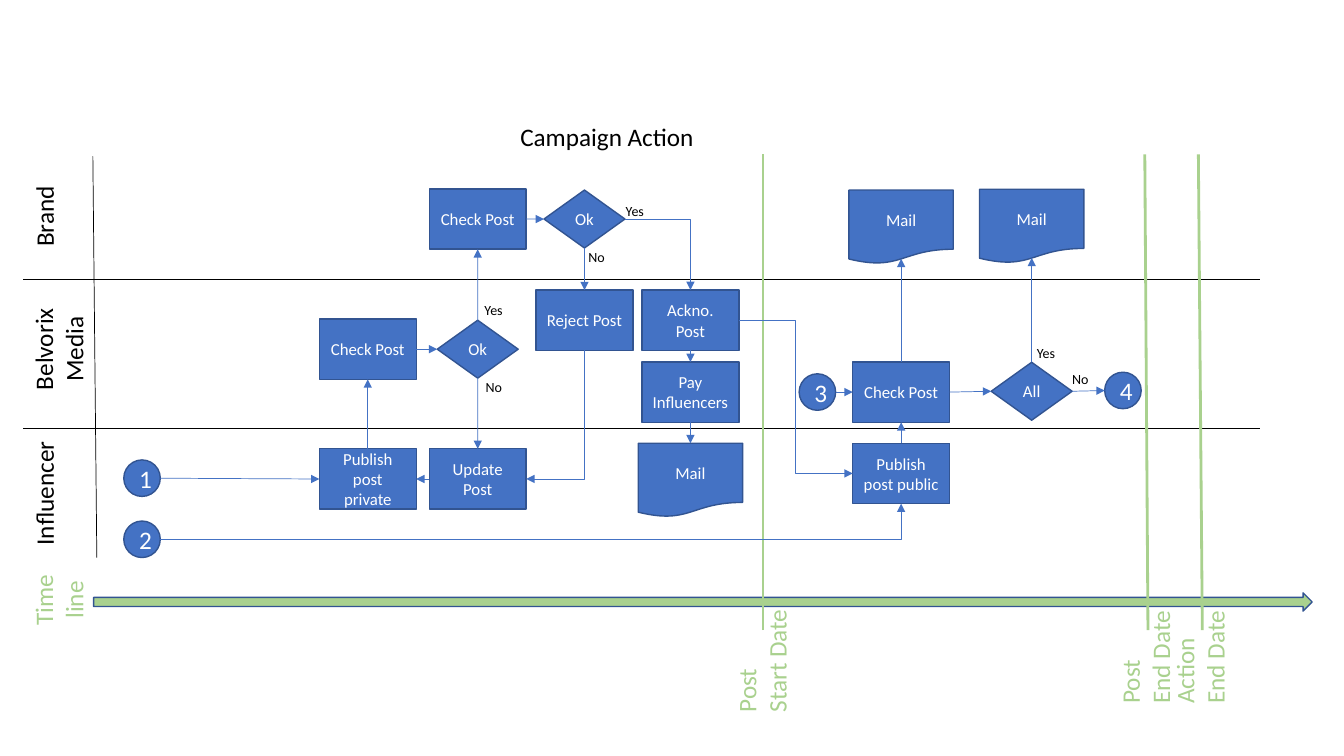
"""Build the campaign action swimlane slide."""
import pptx
import pptx.util
import pptx.dml.color
import pptx.enum.shapes
import pptx.enum.text
import pptx.oxml
import pptx.oxml.ns
from pptx.util import Cm

KIND = pptx.enum.shapes.MSO_SHAPE
LINK = pptx.enum.shapes.MSO_CONNECTOR
ALIGN = pptx.enum.text.PP_ALIGN
FONT = "Calibri"
COLORS = {"blue": "4472C4", "edge": "325491", "green": "A9D18E",
          "black": "000000", "white": "FFFFFF"}
TOP, LEFT, BOTTOM, RIGHT = range(4)

TITLE = ("Campaign Action", 2.34, 2.92, 25.91, 1.02)
TIME_ARROW = (2.36, 14.94, 30.71, 0.46)
LANE_LINES = [(0.58, 7.04, 31.75, 7.04), (0.58, 10.8, 31.75, 10.8),
              (2.34, 3.94, 2.44, 14.05)]
DATE_LINES = [(19.23, 15.88, 19.23, 3.89), (28.93, 15.88, 28.85, 3.89),
              (30.3, 15.88, 30.2, 3.89)]
ROTATED_LABELS = [
    (["Brand"], "black", (0.08, 4.93, 2.06, 1.02), [ALIGN.LEFT]),
    (["Belvorix", "Media"], "black", (-0.02, 7.9, 3.0, 1.8), [ALIGN.CENTER] * 2),
    (["Influencer"], "black", (-0.48, 11.89, 3.18, 1.02), [ALIGN.LEFT]),
    (["Time", "line"], "green", (0.58, 14.22, 1.8, 1.8), [ALIGN.LEFT, ALIGN.CENTER]),
    (["Post", "Start Date"], "green", (17.65, 15.75, 3.1, 1.8), [ALIGN.LEFT] * 2),
    (["Post", "End Date"], "green", (27.41, 15.62, 2.92, 1.8), [ALIGN.LEFT] * 2),
    (["Action", "End Date"], "green", (28.78, 15.62, 2.92, 1.8), [ALIGN.LEFT] * 2),
]
ANSWERS = [("No", 14.58, 6.15), ("Yes", 25.88, 8.56), ("Yes", 11.96, 7.47),
           ("Yes", 15.52, 4.98), ("No", 11.99, 9.42), ("No", 26.77, 9.22)]
ANSWER_SIZE = (1.02, 0.69)

STYLES = {
    "process": (KIND.FLOWCHART_PROCESS, 2.44, 1.52, 12),
    "decision": (KIND.FLOWCHART_DECISION, 2.04, 1.46, 12),
    "document": (KIND.FLOWCHART_DOCUMENT, 2.63, 1.86, 12),
    "step": (KIND.FLOWCHART_CONNECTOR, 0.92, 0.92, 18),
}
NODES = {
    "publish private": ("process", "Publish post private", 9.27, 12.07),
    "check media": ("process", "Check Post", 9.27, 8.8),
    "check brand": ("process", "Check Post", 12.04, 5.52),
    "update": ("process", "Update Post", 12.04, 12.07),
    "ok media": ("decision", "Ok", 12.04, 8.8),
    "ok brand": ("decision", "Ok", 14.73, 5.52),
    "reject": ("process", "Reject Post", 14.73, 8.07),
    "acknowledge": ("process", "Ackno. Post", 17.4, 8.07),
    "pay": ("process", "Pay Influencers", 17.4, 9.88),
    "mail influencer": ("document", "Mail", 17.4, 12.1),
    "publish public": ("process", "Publish post public", 22.71, 11.93),
    "check public": ("process", "Check Post", 22.71, 9.88),
    "mail check": ("document", "Mail", 22.71, 5.72),
    "all": ("decision", "All", 26.0, 9.86),
    "mail all": ("document", "Mail", 26.0, 5.7),
    "1": ("step", "1", 3.58, 12.05),
    "2": ("step", "2", 3.58, 13.59),
    "3": ("step", "3", 20.6, 9.88),
    "4": ("step", "4", 28.3, 9.84),
}
STRAIGHT_LINKS = [
    ("check media", RIGHT, "ok media", LEFT),
    ("publish private", TOP, "check media", BOTTOM),
    ("ok media", TOP, "check brand", BOTTOM),
    ("ok media", BOTTOM, "update", TOP),
    ("check brand", RIGHT, "ok brand", LEFT),
    ("update", LEFT, "publish private", RIGHT),
    ("ok brand", BOTTOM, "reject", TOP),
    ("1", RIGHT, "publish private", LEFT),
    ("acknowledge", BOTTOM, "pay", TOP),
    ("pay", BOTTOM, "mail influencer", TOP),
    ("publish public", TOP, "check public", BOTTOM),
    ("check public", TOP, "mail check", BOTTOM),
    ("all", RIGHT, "4", LEFT),
    ("all", TOP, "mail all", BOTTOM),
    ("check public", RIGHT, "all", LEFT),
    ("3", RIGHT, "check public", LEFT),
]
BENT_LINKS = [
    ("2", RIGHT, "publish public", BOTTOM),
    ("ok brand", RIGHT, "acknowledge", TOP),
    ("acknowledge", RIGHT, "publish public", LEFT),
    ("reject", BOTTOM, "update", RIGHT),
]


def color(name):
    return pptx.dml.color.RGBColor.from_string(COLORS[name])


def write(frame, lines, size, tint, alignments):
    for number, line in enumerate(lines):
        para = frame.paragraphs[0] if number == 0 else frame.add_paragraph()
        para.text = line
        para.alignment = alignments[number]
        para.font.name = FONT
        para.font.size = pptx.util.Pt(size)
        para.font.color.rgb = color(tint)


def add_label(page, lines, size, tint, place, alignments, rotation=0):
    box = page.shapes.add_textbox(*map(Cm, place))
    box.rotation = rotation
    box.text_frame.word_wrap = rotation == 0
    box.text_frame.auto_size = pptx.enum.text.MSO_AUTO_SIZE.SHAPE_TO_FIT_TEXT
    write(box.text_frame, lines, size, tint, alignments)


def add_shape(page, kind, place, fill):
    shape = page.shapes.add_shape(kind, *map(Cm, place))
    shape.shadow.inherit = False
    shape.fill.solid()
    shape.fill.fore_color.rgb = color(fill)
    shape.line.color.rgb = color("edge")
    shape.line.width = pptx.util.Pt(1)
    return shape


def add_node(page, style, text, center_x, center_y):
    kind, width, height, size = STYLES[style]
    place = (center_x - width / 2, center_y - height / 2, width, height)
    shape = add_shape(page, kind, place, "blue")
    shape.text_frame.vertical_anchor = pptx.enum.text.MSO_ANCHOR.MIDDLE
    write(shape.text_frame, [text], size, "white", [ALIGN.CENTER])
    return shape


def add_line(page, ends, tint, width, kind=LINK.STRAIGHT, arrow=False):
    line = page.shapes.add_connector(kind, *map(Cm, ends))
    line.line.color.rgb = color(tint)
    line.line.width = pptx.util.Pt(width)
    properties = line._element.spPr
    if arrow:
        outline = properties.find(pptx.oxml.ns.qn("a:ln"))
        outline.append(pptx.oxml.parse_xml(
            f'<a:tailEnd {pptx.oxml.ns.nsdecls("a")} type="triangle"/>'))
    properties.append(pptx.oxml.parse_xml(f'<a:effectLst {pptx.oxml.ns.nsdecls("a")}/>'))
    return line


def side_point(name, side):
    style, _, x, y = NODES[name]
    _, width, height, _ = STYLES[style]
    bottom = 0.43 if style == "document" else 0.5
    across, down = [(0, -0.5), (-0.5, 0), (0, bottom), (0.5, 0)][side]
    return x + across * width, y + down * height


def can_join(name, side):
    style = NODES[name][0]
    return style in ("process", "decision") or (style == "document" and side == TOP)


def add_straight_link(page, shapes, start, start_side, end, end_side):
    ends = side_point(start, start_side) + side_point(end, end_side)
    line = add_line(page, ends, "blue", 0.5, arrow=True)
    if can_join(start, start_side):
        line.begin_connect(shapes[start], start_side)
    if can_join(end, end_side):
        line.end_connect(shapes[end], end_side)


def add_bent_link(page, start, start_side, end, end_side):
    x1, y1 = side_point(start, start_side)
    x2, y2 = side_point(end, end_side)
    turned = start_side == BOTTOM
    if turned:
        middle_x, middle_y = (x1 + x2) / 2, (y1 + y2) / 2
        half_width, half_height = abs(y2 - y1) / 2, abs(x2 - x1) / 2
        x1, x2 = middle_x - half_width, middle_x + half_width
        y1, y2 = middle_y - half_height, middle_y + half_height
    line = add_line(page, (x1, y1, x2, y2), "blue", 0.5, LINK.ELBOW, arrow=True)
    properties = line._element.spPr
    if turned:
        properties.find(pptx.oxml.ns.qn("a:xfrm")).set("rot", "5400000")
    if {start_side, end_side} != {LEFT, RIGHT}:
        properties.find(pptx.oxml.ns.qn("a:prstGeom")).set("prst", "bentConnector2")


def main():
    deck = pptx.Presentation()
    deck.slide_width, deck.slide_height = Cm(33.87), Cm(19.05)
    page = deck.slides.add_slide(deck.slide_layouts[5])
    title = page.shapes.title
    title.left, title.top, title.width, title.height = map(Cm, TITLE[1:])
    title.text_frame.vertical_anchor = pptx.enum.text.MSO_ANCHOR.TOP
    write(title.text_frame, [TITLE[0]], 18, "black", [ALIGN.CENTER])
    for ends in LANE_LINES:
        add_line(page, ends, "black", 0.5)
    add_shape(page, KIND.RIGHT_ARROW, TIME_ARROW, "green")
    for ends in DATE_LINES:
        add_line(page, ends, "green", 2)
    for lines, tint, place, alignments in ROTATED_LABELS:
        add_label(page, lines, 18, tint, place, alignments, 270)
    shapes = {name: add_node(page, *node) for name, node in NODES.items()}
    for link in STRAIGHT_LINKS:
        add_straight_link(page, shapes, *link)
    for link in BENT_LINKS:
        add_bent_link(page, *link)
    for text, left, top in ANSWERS:
        add_label(page, [text], 10, "black", (left, top, *ANSWER_SIZE), [ALIGN.LEFT])
    deck.save("out.pptx")


if __name__ == "__main__":
    main()
